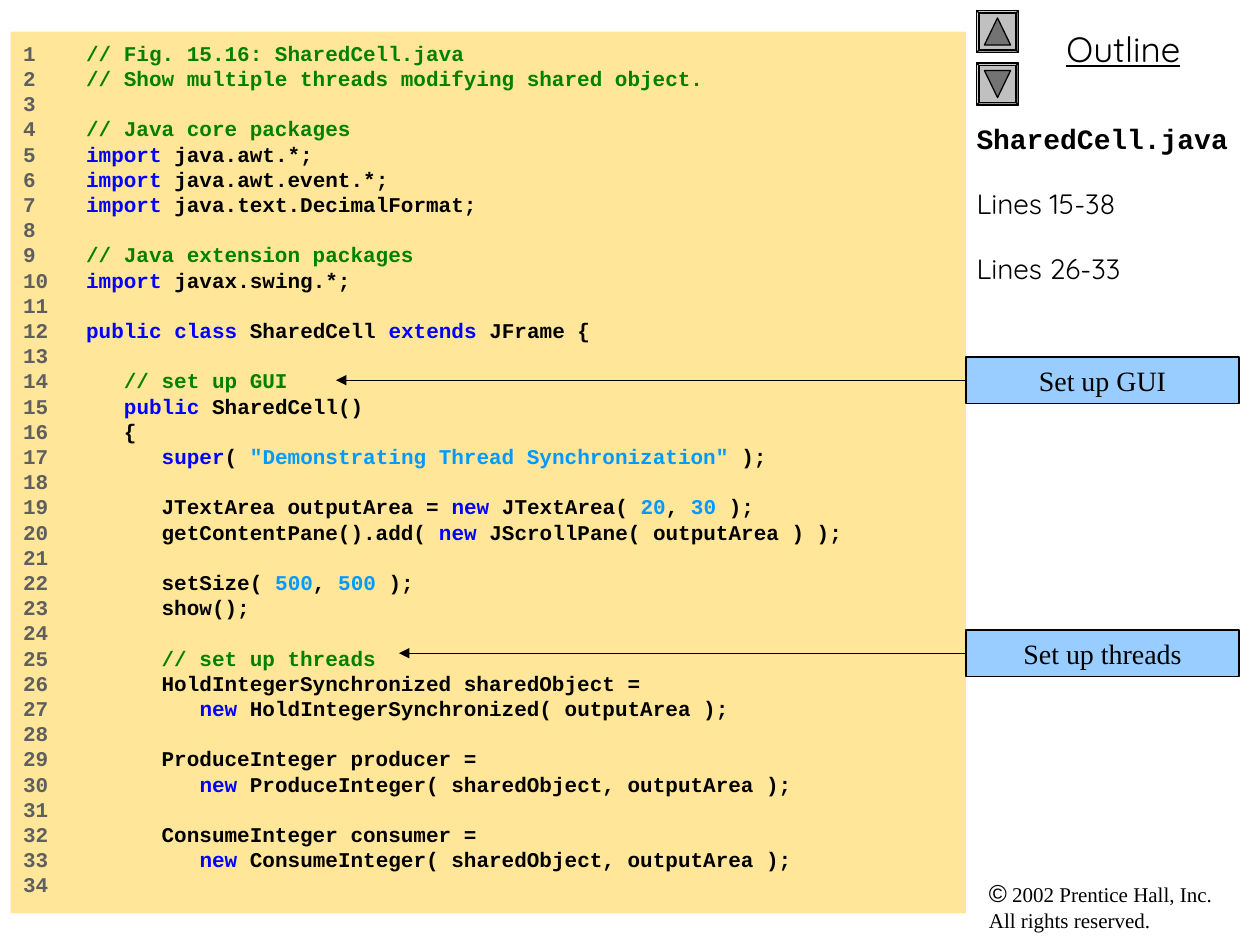
from itertools import groupby

from lxml.etree import SubElement
from pptx import Presentation
from pptx.dml.color import RGBColor
from pptx.enum.shapes import MSO_CONNECTOR as CONN, MSO_SHAPE as SHAPE
from pptx.enum.text import MSO_ANCHOR as ANCHOR, MSO_AUTO_SIZE as FIT, PP_ALIGN as ALIGN
from pptx.oxml.ns import qn
from pptx.util import Pt

CODE = [
    "// Fig. 15.16: SharedCell.java",
    "// Show multiple threads modifying shared object.",
    "",
    "// Java core packages",
    "import java.awt.*;",
    "import java.awt.event.*;",
    "import java.text.DecimalFormat;",
    "",
    "// Java extension packages",
    "import javax.swing.*;",
    "",
    "public class SharedCell extends JFrame {",
    "",
    "   // set up GUI",
    "   public SharedCell()",
    "   {",
    '      super( "Demonstrating Thread Synchronization" );',
    "",
    "      JTextArea outputArea = new JTextArea( 20, 30 );",
    "      getContentPane().add( new JScrollPane( outputArea ) );",
    "",
    "      setSize( 500, 500 );",
    "      show();",
    "",
    "      // set up threads",
    "      HoldIntegerSynchronized sharedObject =",
    "         new HoldIntegerSynchronized( outputArea );",
    "",
    "      ProduceInteger producer =",
    "         new ProduceInteger( sharedObject, outputArea );",
    "",
    "      ConsumeInteger consumer =",
    "         new ConsumeInteger( sharedObject, outputArea );",
    "",
]
KEYWORDS = {"import", "public", "class", "extends", "super", "new"}
BLACK, GREY, GREEN, BLUE, CYAN = "000000", "5F5F5F", "008000", "0000FF", "0099FF"


def rgb(value):
    return RGBColor.from_string(value)


def add_run(p, text, font, size, color=BLACK, bold=False):
    r = p.add_run()
    r.text = text
    r.font.name, r.font.size, r.font.bold = font, Pt(size), bold
    r.font.color.rgb = rgb(color)
    return r


prs = Presentation()
prs.slide_width, prs.slide_height = Pt(720), Pt(540)
s = prs.slides.add_slide(prs.slide_layouts[0])
title, code = s.placeholders

# File name and line references
title.left, title.top, title.width, title.height = Pt(558), Pt(66), Pt(162), Pt(432)
tf = title.text_frame
tf.word_wrap, tf.auto_size, tf.vertical_anchor = True, FIT.NONE, ANCHOR.TOP
tf.margin_left = 0
entries = [("SharedCell.java", "Courier New"), ("Lines 15-38", "Quicksand"),
           ("Lines 26-33", "Quicksand")]
for i, (text, font) in enumerate(entries):
    p = tf.add_paragraph() if i else tf.paragraphs[0]
    p.alignment = ALIGN.LEFT
    p.space_before = Pt(18 if i else 0)
    add_run(p, text, font, 16, bold=i == 0)

# Numbered code listing
code.left, code.top, code.width, code.height = Pt(6), Pt(18), Pt(546), Pt(504)
code.fill.solid()
code.fill.fore_color.rgb = rgb("FFE699")
tf = code.text_frame
tf.word_wrap, tf.auto_size, tf.vertical_anchor = True, FIT.NONE, ANCHOR.TOP
tf.margin_top = Pt(5)
for n, line in enumerate(CODE, 1):
    p = tf.paragraphs[0] if n == 1 else tf.add_paragraph()
    p.alignment = ALIGN.LEFT
    p.space_before, p.line_spacing = Pt(0), Pt(14.4)
    tabs = SubElement(p._p.get_or_add_pPr(), qn("a:tabLst"))
    SubElement(tabs, qn("a:tab"), pos=str(Pt(36)), algn="l")

    # Split the line into coloured pieces
    pieces = []
    if line.lstrip().startswith("//"):
        pieces.append((GREEN, line))
    else:
        for i, part in enumerate(line.split('"')):
            if i % 2:
                pieces.append((CYAN, f'"{part}"'))
                continue
            for _, chars in groupby(part, str.isalnum):
                word = "".join(chars)
                color = BLUE if word in KEYWORDS else CYAN if word.isdigit() else BLACK
                pieces.append((color, word))

    add_run(p, f"{n}\t" if line else str(n), "Courier New", 12, GREY, True)
    for color, group in groupby(pieces, lambda piece: piece[0]):
        add_run(p, "".join(text for _, text in group), "Courier New", 12, color, True)

# Outline heading
sp = s.shapes.add_textbox(Pt(564), Pt(12), Pt(156), Pt(32))
sp.text_frame.word_wrap = True
p = sp.text_frame.paragraphs[0]
p.alignment = ALIGN.CENTER
add_run(p, "Outline", "Quicksand", 20).font.underline = True

# Up and down buttons
for top, rotation in [(6, 0), (36, 180)]:
    frame = s.shapes.add_shape(SHAPE.BEVEL, Pt(558), Pt(top), Pt(24), Pt(24))
    frame.adjustments[0] = 0.06
    arrow = s.shapes.add_shape(SHAPE.ISOSCELES_TRIANGLE, Pt(562.5), Pt(top + 4.25),
                               Pt(15), Pt(15.5))
    arrow.rotation = rotation
    for sp, color in [(frame, "C0C0C0"), (arrow, "737373")]:
        sp.shadow.inherit = False
        sp.fill.solid()
        sp.fill.fore_color.rgb = rgb(color)
        sp.line.color.rgb = rgb(BLACK)
        sp.line.width = Pt(0.75)

# Callouts with arrows into the code
for text, top, tip in [("Set up threads", 360, 228), ("Set up GUI", 204, 192)]:
    sp = s.shapes.add_shape(SHAPE.RECTANGLE, Pt(552), Pt(top), Pt(156), Pt(26.5))
    sp.shadow.inherit = False
    sp.fill.solid()
    sp.fill.fore_color.rgb = rgb("99CCFF")
    tf = sp.text_frame
    tf.word_wrap, tf.vertical_anchor = True, ANCHOR.MIDDLE
    p = tf.paragraphs[0]
    p.alignment = ALIGN.CENTER
    add_run(p, text, "Times New Roman", 16)

    middle = Pt(top + 13.25)
    arrow = s.shapes.add_connector(CONN.STRAIGHT, Pt(552), middle, Pt(tip), middle)
    arrow.begin_connect(sp, 1)
    for item in (sp, arrow):
        item.line.color.rgb = rgb(BLACK)
        item.line.width = Pt(0.75)
    SubElement(arrow.line._get_or_add_ln(), qn("a:tailEnd"), type="triangle")
    SubElement(arrow._element.spPr, qn("a:effectLst"))

# Copyright line
sp = s.shapes.add_textbox(Pt(558), Pt(498), Pt(156), Pt(39))
sp.text_frame.word_wrap = True
p = sp.text_frame.paragraphs[0]
add_run(p, "©", "Arial", 14)
add_run(p, " 2002 Prentice Hall, Inc.", "Times New Roman", 12)
p.add_line_break()
add_run(p, "All rights reserved.", "Times New Roman", 12)

prs.save("out.pptx")
